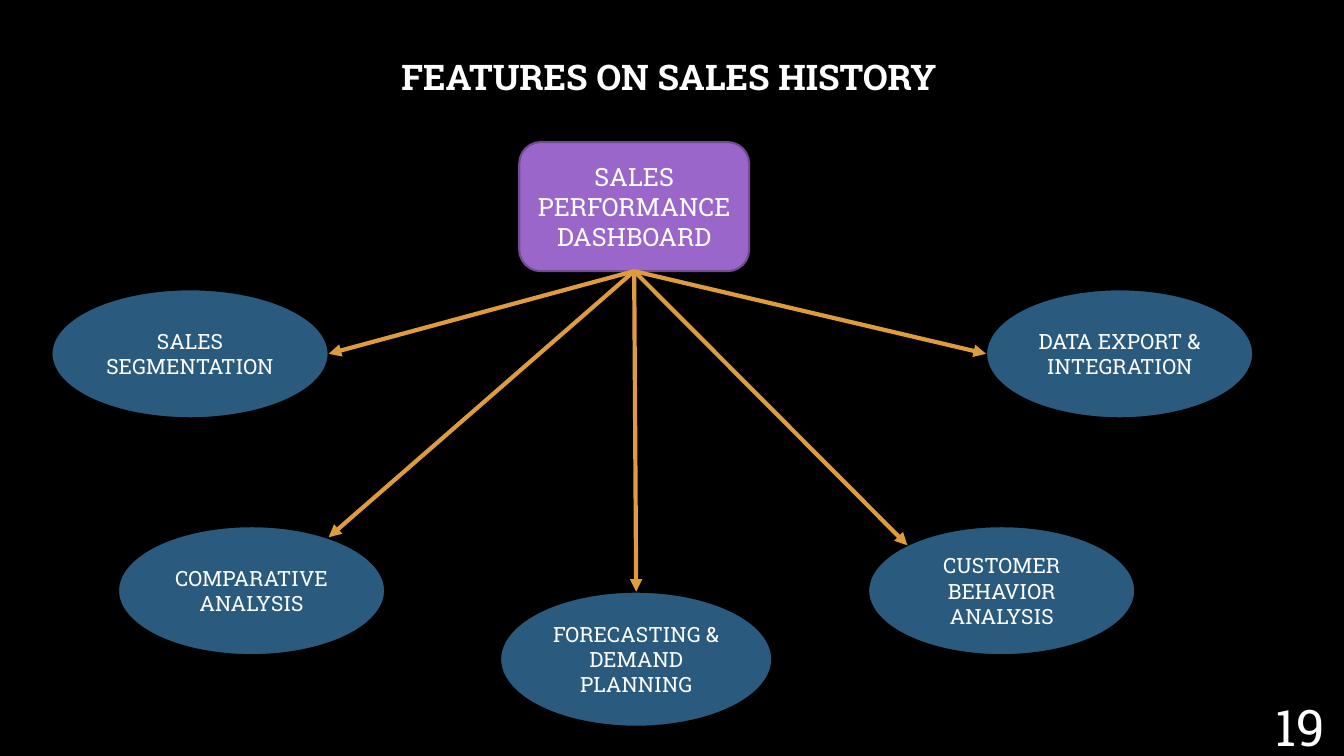
"""Build the sales history features slide."""
from lxml import etree
from pptx import Presentation
from pptx import util as u
from pptx.dml.color import RGBColor
from pptx.enum import shapes, text
from pptx.oxml.ns import qn

ALIGN = text.PP_ALIGN
SHAPE = shapes.MSO_SHAPE


class Diagram:
    """Hold the style and the current slide."""

    font = "Roboto Slab"
    colors = {
        "back": "000000",
        "text": "FFFFFF",
        "feature": "2A5B7F",
        "hub": "9A66CA",
        "hub_line": "724B95",
        "arrow": "DE9C3C",
    }

    def __init__(self, prs):
        self.s = prs.slides.add_slide(prs.slide_layouts[6])
        fill = self.s.background.fill
        fill.solid()
        fill.fore_color.rgb = self.color("back")

    def color(self, name):
        return RGBColor.from_string(self.colors[name])

    def set_text(self, sp, words, size, align=ALIGN.CENTER, bold=False, spacing=None):
        tf = sp.text_frame
        tf.word_wrap = True
        tf.vertical_anchor = text.MSO_ANCHOR.MIDDLE
        tf.text = words
        p = tf.paragraphs[0]
        p.alignment = align
        p.line_spacing = spacing
        r = p.runs[0]
        r.font.name = self.font
        r.font.size = u.Pt(size)
        r.font.bold = bold
        r.font.color.rgb = self.color("text")

    def label(self, box, words, size, **style):
        sp = self.s.shapes.add_textbox(*map(u.Inches, box))
        self.set_text(sp, words, size, **style)

    def node(self, kind, box, words, size, fill, line):
        sp = self.s.shapes.add_shape(kind, *map(u.Inches, box))
        sp.shadow.inherit = False
        sp.fill.solid()
        sp.fill.fore_color.rgb = self.color(fill)
        sp.line.color.rgb = self.color(line)
        sp.line.width = u.Pt(1.5)
        self.set_text(sp, words, size)
        return sp

    def arrow(self, hub, end, target=None):
        x, y = map(u.Inches, end)
        c = self.s.shapes.add_connector(shapes.MSO_CONNECTOR.STRAIGHT, x, y, x, y)
        c.begin_connect(hub, 2)
        if target is not None:
            c.end_connect(target, 0)
        c.line.color.rgb = self.color("arrow")
        c.line.width = u.Pt(3)
        sp_pr = c.element.spPr
        etree.SubElement(sp_pr.find(qn("a:ln")), qn("a:tailEnd"), type="triangle")
        etree.SubElement(sp_pr, qn("a:effectLst"))


def main():
    prs = Presentation()
    prs.slide_width = u.Inches(13.33)
    prs.slide_height = u.Inches(7.5)
    d = Diagram(prs)

    d.label((3.47, 0.41, 6.33, 0.75), "FEATURES ON SALES HISTORY", 25.2, bold=True, spacing=0.9)
    hub = d.node(SHAPE.ROUNDED_RECTANGLE, (5.15, 1.41, 2.28, 1.28),
                 "SALES PERFORMANCE DASHBOARD", 18, "hub", "hub_line")

    features = [
        ("SALES SEGMENTATION", (0.51, 2.87, 2.75, 1.28), (3.26, 3.51), False),
        ("COMPARATIVE ANALYSIS", (1.17, 5.22, 2.65, 1.28), (3.26, 5.33), False),
        ("FORECASTING & DEMAND PLANNING", (4.96, 5.87, 2.7, 1.34), (6.31, 5.87), True),
        ("CUSTOMER BEHAVIOR ANALYSIS", (8.61, 5.22, 2.65, 1.28), (9, 5.41), False),
        ("DATA EXPORT & INTEGRATION", (9.78, 2.87, 2.65, 1.28), (9.78, 3.51), False),
    ]
    for words, box, end, at_top in features:
        sp = d.node(SHAPE.OVAL, box, words, 15, "feature", "back")
        d.arrow(hub, end, sp if at_top else None)

    d.label((12.42, 7.01, 0.82, 0.4), "19", 36, align=ALIGN.RIGHT)
    prs.save("out.pptx")


if __name__ == "__main__":
    main()
